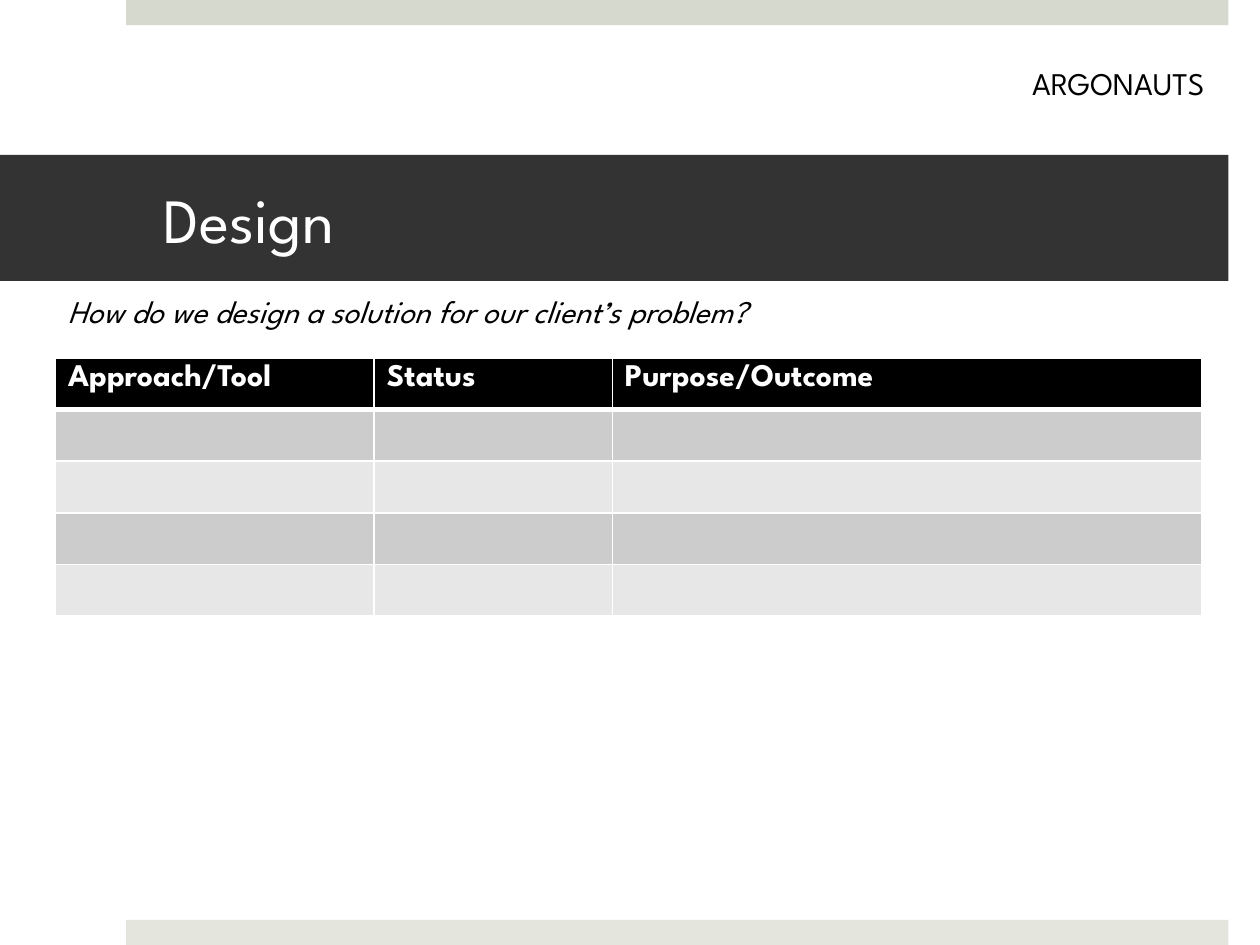
"""Build the Design slide with its title band and approach table."""
from dataclasses import dataclass

from lxml import etree
from pptx import Presentation
from pptx.dml.color import RGBColor
from pptx.enum.shapes import MSO_SHAPE
from pptx.enum.text import MSO_ANCHOR, MSO_AUTO_SIZE, PP_ALIGN
from pptx.oxml.ns import qn
from pptx.util import Inches, Pt

RECT = MSO_SHAPE.RECTANGLE
MIDDLE = MSO_ANCHOR.MIDDLE
LEFT, CENTER = PP_ALIGN.LEFT, PP_ALIGN.CENTER
GROW = MSO_AUTO_SIZE.SHAPE_TO_FIT_TEXT


@dataclass(frozen=True)
class Theme:
    font: str = "League Spartan"
    title_size: int = 36
    body_size: int = 18
    black: str = "000000"
    white: str = "FFFFFF"
    band: str = "333333"
    top_bar: str = "D6D9CD"
    bottom_bar: str = "E4E6DE"
    row_fills: tuple = ("CCCCCC", "E7E7E7")


class SlideBuilder:
    def __init__(self, slide, theme):
        self.s = slide
        self.theme = theme

    def add_text(self, tf, text, color, size, align=LEFT, **formats):
        p = tf.paragraphs[0]
        p.alignment = align
        r = p.add_run()
        r.text = text
        values = {"name": self.theme.font, "size": Pt(size), **formats}
        for name, value in values.items():
            setattr(r.font, name, value)
        r.font.color.rgb = RGBColor.from_string(color)

    def bar(self, x, y, w, h, color):
        sp = self.s.shapes.add_shape(RECT, Inches(x), Inches(y), Inches(w), Inches(h))
        sp.shadow.inherit = False
        sp.fill.solid()
        sp.fill.fore_color.rgb = RGBColor.from_string(color)
        sp.line.fill.background()
        return sp

    def title(self, x, y, w, h, text):
        tf = self.bar(x, y, w, h, self.theme.band).text_frame
        formats = {
            "vertical_anchor": MIDDLE,
            "word_wrap": True,
            "margin_left": Inches(1.3),
            "margin_right": Inches(0.3),
        }
        for name, value in formats.items():
            setattr(tf, name, value)
        self.add_text(tf, text, self.theme.white, self.theme.title_size)

    def label(self, x, y, w, h, text, **formats):
        sp = self.s.shapes.add_textbox(Inches(x), Inches(y), Inches(w), Inches(h))
        tf = sp.text_frame
        tf.word_wrap = False
        tf.auto_size = GROW
        self.add_text(tf, text, self.theme.black, self.theme.body_size, **formats)

    def borders(self, cell, widths):
        tc_pr = cell._tc.get_or_add_tcPr()
        for side, width in widths.items():
            line = etree.SubElement(tc_pr, qn(f"a:ln{side}"), w=str(Pt(width)))
            fill = etree.SubElement(line, qn("a:solidFill"))
            etree.SubElement(fill, qn("a:srgbClr"), val=self.theme.white)

    def table(self, x, y, col_widths, row_height, headers, body_rows):
        rows = body_rows + 1
        frame = self.s.shapes.add_table(
            rows, len(headers), Inches(x), Inches(y),
            Inches(sum(col_widths)), Inches(row_height * rows))
        table = frame.table
        for column, width in zip(table.columns, col_widths):
            column.width = Inches(width)
        for i, row in enumerate(table.rows):
            row.height = Inches(row_height)
            color = self.theme.row_fills[(i - 1) % 2] if i else self.theme.black
            widths = {"L": 1, "R": 1, "T": 3 if i == 1 else 1, "B": 1 if i else 3}
            for cell in row.cells:
                self.borders(cell, widths)
                cell.fill.solid()
                cell.fill.fore_color.rgb = RGBColor.from_string(color)
        for cell, text in zip(table.rows[0].cells, headers):
            self.add_text(cell.text_frame, text, self.theme.white,
                          self.theme.body_size, bold=True)


def main():
    prs = Presentation()
    prs.slide_width, prs.slide_height = Inches(10), Inches(7.5)
    theme = Theme()
    builder = SlideBuilder(prs.slides.add_slide(prs.slide_layouts[6]), theme)
    builder.bar(1, 0, 8.75, 0.2, theme.top_bar)
    builder.bar(1, 7.3, 8.75, 0.2, theme.bottom_bar)
    builder.title(0, 1.23, 9.75, 1, "Design")
    builder.label(0.44, 2.27, 6.79, 0.4,
                  "How do we design a solution for our client’s problem?", italic=True)
    builder.table(0.44, 2.84, (2.53, 1.89, 4.68), 0.41,
                  ("Approach/Tool", "Status", "Purpose/Outcome"), 4)
    builder.label(8, 0.46, 1.75, 0.4, "ARGONAUTS", align=CENTER)
    prs.save("out.pptx")


if __name__ == "__main__":
    main()
